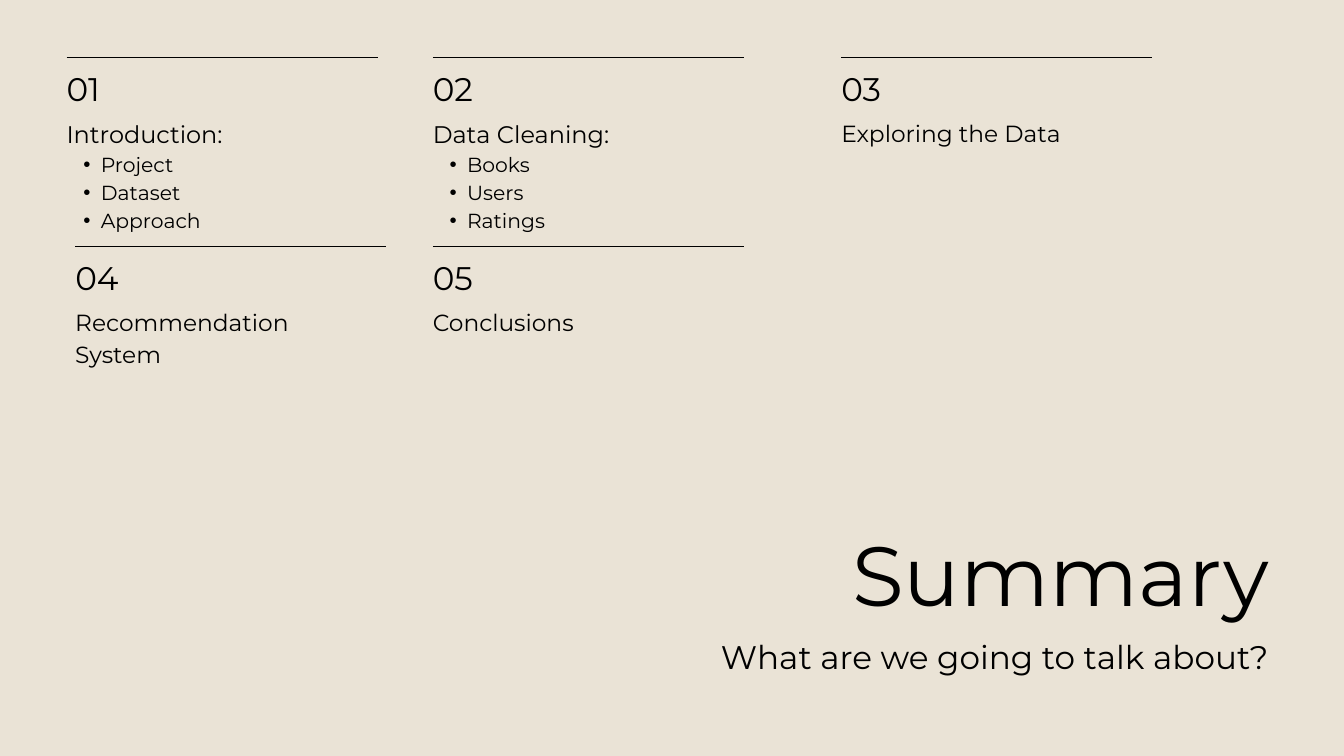
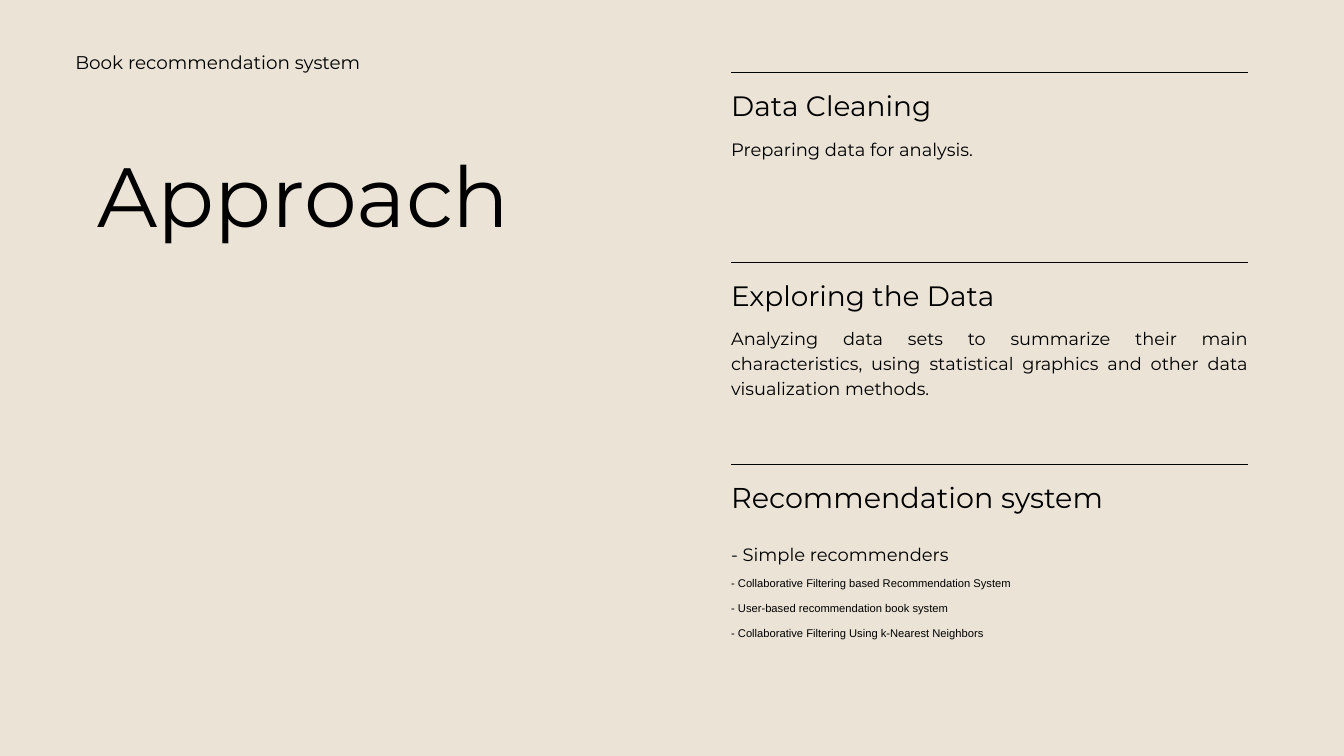
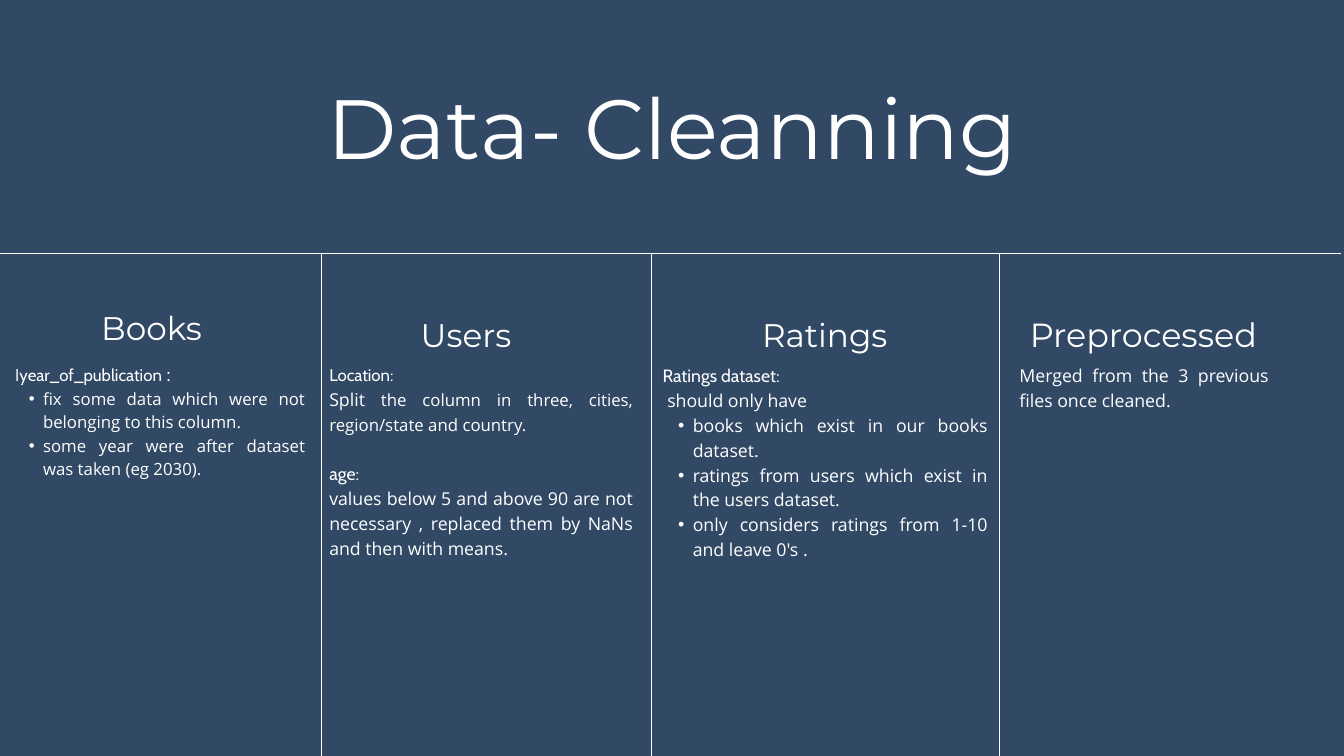
from dataclasses import dataclass

from lxml import etree
from pptx import Presentation
from pptx.dml.color import RGBColor
from pptx.enum.shapes import MSO_CONNECTOR
from pptx.enum.text import MSO_AUTO_SIZE, PP_ALIGN
from pptx.oxml.ns import qn
from pptx.util import Inches, Pt

LEFT, RIGHT, CENTER, JUSTIFY = PP_ALIGN.LEFT, PP_ALIGN.RIGHT, PP_ALIGN.CENTER, PP_ALIGN.JUSTIFY
FIT_SHAPE = MSO_AUTO_SIZE.SHAPE_TO_FIT_TEXT
STRAIGHT = MSO_CONNECTOR.STRAIGHT

COLORS = {"sand": "EAE3D6", "navy": "314964", "ink": "000000", "white": "FFFFFF"}
HEAD_FONT, BODY_FONT, LABEL_FONT, PLAIN_FONT = "Montserrat", "Open Sans", "Cabin", "Arial"


@dataclass
class Para:
    """One paragraph: spans are (text, size, font); lengths are in inches or points."""
    spans: list
    spacing: float
    align: int = LEFT
    indent: float = 0
    bullet: float = 0
    before: float = 0


def heading(text, size, spacing, align=LEFT, indent=0):
    return Para([(text, size, HEAD_FONT)], spacing, align, indent)


def body(text, size=19, spacing=26.6, font=BODY_FONT, **options):
    return Para([(text, size, font)], spacing, JUSTIFY, **options)


def add_page(deck, background):
    page = deck.slides.add_slide(deck.slide_layouts[6])
    page.background.fill.solid()
    page.background.fill.fore_color.rgb = RGBColor.from_string(COLORS[background])
    return page


def format_para(para, item):
    properties = para._p.get_or_add_pPr()
    if item.bullet:
        para.level = 1
        etree.SubElement(properties, qn("a:buFont")).set("typeface", "Arial")
        etree.SubElement(properties, qn("a:buChar")).set("char", "•")
    if item.indent:
        properties.set("marL", str(Inches(item.indent)))
        properties.set("indent", str(-Inches(item.bullet)))
    para.alignment = item.align
    para.line_spacing = Pt(item.spacing)
    if item.before:
        para.space_before = Pt(item.before)


def add_text(page, left, top, width, height, items, color="ink"):
    box = page.shapes.add_textbox(Inches(left), Inches(top), Inches(width), Inches(height))
    frame = box.text_frame
    frame.margin_left = frame.margin_top = frame.margin_right = frame.margin_bottom = 0
    frame.word_wrap = True
    frame.auto_size = FIT_SHAPE
    for index, item in enumerate(items):
        para = frame.add_paragraph() if index else frame.paragraphs[0]
        format_para(para, item)
        for text, size, font in item.spans:
            span = para.add_run()
            span.text = text
            span.font.size = Pt(size)
            span.font.name = font
            span.font.color.rgb = RGBColor.from_string(COLORS[color])


def add_title(page, left, top, width, text, align=LEFT, color="ink", indent=0):
    add_text(page, left, top, width, 1.5, [heading(text, 90, 108, align, indent)], color)


def add_rule(page, x1, y1, x2, y2, color="ink", weight=1):
    rule = page.shapes.add_connector(STRAIGHT, Inches(x1), Inches(y1), Inches(x2), Inches(y2))
    rule.line.color.rgb = RGBColor.from_string(COLORS[color])
    rule.line.width = Pt(weight)
    etree.SubElement(rule._element.spPr, qn("a:effectLst"))


def add_agenda_entry(page, number, left, top, lines, topics=()):
    """A rule, a number, and a name with optional bulleted topics."""
    add_rule(page, left, top, left + 4.63, top)
    add_text(page, left, top + 0.12, 4.42, 0.61, [heading(number, 35, 45.5)])
    size, spacing = (25.7, 36) if topics else (25, 35)
    items = [heading(line, size, spacing) for line in lines]
    items += [Para([(topic, 21.8, HEAD_FONT)], 30.4, indent=0.51, bullet=0.26) for topic in topics]
    height = 0.46 * len(items)
    add_text(page, left, top + 0.84, 4.63, height, items)


def add_step(page, top, name, details, gap=0.93, size=30, spacing=39):
    """A rule, a step name and its details."""
    left, width = 10.88, 7.69
    add_rule(page, left, top, left + width, top)
    add_text(page, left, top + 0.19, width, 0.52, [heading(name, size, spacing)])
    add_text(page, left, top + gap, width, 0.37 * len(details), details)


def build_summary(deck):
    page = add_page(deck, "sand")
    add_title(page, 7.51, 7.77, 11.37, "Summary", RIGHT)
    add_text(page, 7.51, 9.43, 11.37, 0.61,
             [heading("What are we going to talk about?", 35, 45.5, RIGHT)])
    upper, lower = 0.86, 3.67
    add_agenda_entry(page, "01", 0.99, upper, ["Introduction:"], ["Project", "Dataset", "Approach"])
    add_agenda_entry(page, "02", 6.44, upper, ["Data Cleaning:"], ["Books", "Users", "Ratings"])
    add_agenda_entry(page, "03", 12.52, upper, ["Exploring the Data"])
    add_agenda_entry(page, "04", 1.12, lower, ["Recommendation", "System"])
    add_agenda_entry(page, "05", 6.44, lower, ["Conclusions"])


def build_approach(deck):
    page = add_page(deck, "sand")
    add_text(page, 1.12, 0.75, 4.71, 0.34, [heading("Book recommendation system", 19.7, 24.1)])
    add_title(page, 1.12, 2.13, 8.86, "Approach", indent=0.33)
    add_step(page, 1.08, "Data Cleaning",
             [body("Preparing data for analysis.", 19.2, 26.9, HEAD_FONT)])
    add_step(page, 3.91, "Exploring the Data",
             [body("Analyzing data sets to summarize their main characteristics, using statistical "
                   "graphics and other data visualization methods.", font=HEAD_FONT)], 0.92)
    methods = ["- Collaborative Filtering based Recommendation System",
               "- User-based recommendation book system",
               "- Collaborative Filtering Using k-Nearest Neighbors"]
    add_step(page, 6.91, "Recommendation system",
             [body("- Simple recommenders", 19.2, 26.9, HEAD_FONT)]
             + [body(method, 12, 26.9, PLAIN_FONT) for method in methods], 1.12, 30.7, 40)


def build_cleaning(deck):
    page = add_page(deck, "navy")
    add_title(page, 2.99, 1.12, 14.03, "Data- Cleanning", CENTER, "white")

    # Column grid
    add_rule(page, 0, 3.77, 19.95, 3.77, "white", 0.75)
    for x in (4.78, 9.69, 14.87):
        add_rule(page, x, 3.76, x, 11.25, "white", 0.75)

    # Column headings
    for name, left, top, size, spacing in (("Books", 0.41, 4.53, 35, 45.5),
                                           ("Users", 5.09, 4.63, 35, 45.5),
                                           ("Ratings", 10.43, 4.63, 35, 45.5),
                                           ("Preprocessed", 15.17, 4.63, 35.8, 46.5)):
        add_text(page, left, top, 3.69, 0.62, [heading(name, size, spacing, CENTER)], "white")

    # Column details
    books = [Para([("I", 18, BODY_FONT), ("year_of_publication", 18, LABEL_FONT),
                   (" :", 18, BODY_FONT)], 25.2, JUSTIFY)]
    books += [body(text, 18, 25.2, indent=0.42, bullet=0.21) for text in (
        "fix some data which were not belonging to this column.",
        "some year were after dataset was taken (eg 2030).")]
    users = [
        body("Location:", 18, 25.2, LABEL_FONT),
        Para([("Split", 19, BODY_FONT),
              (" the column in three, cities, region/state and country.", 18, BODY_FONT)],
             26.6, JUSTIFY),
        body("age:", font=LABEL_FONT, before=26.6),
        body("values below 5 and above 90 are not necessary , replaced them by NaNs "
             "and then with means."),
    ]
    ratings = [body("Ratings dataset:", font=LABEL_FONT), body("should only have", indent=0.07)]
    ratings += [body(text, indent=0.45, bullet=0.22) for text in (
        "books which exist in our books dataset.",
        "ratings from users which exist in the users dataset.",
        "only considers ratings from 1-10 and leave 0's .")]
    merged = [body("Merged from the 3 previous files once cleaned.")]
    for left, width, height, items in ((0.22, 4.32, 3.08, books), (4.9, 4.52, 3.6, users),
                                       (9.86, 4.84, 3.29, ratings), (15.17, 3.71, 0.72, merged)):
        add_text(page, left, 5.38, width, height, items, "white")


def main():
    deck = Presentation()
    deck.slide_width, deck.slide_height = Inches(20), Inches(11.25)
    build_summary(deck)
    build_approach(deck)
    build_cleaning(deck)
    deck.save("out.pptx")


if __name__ == "__main__":
    main()
